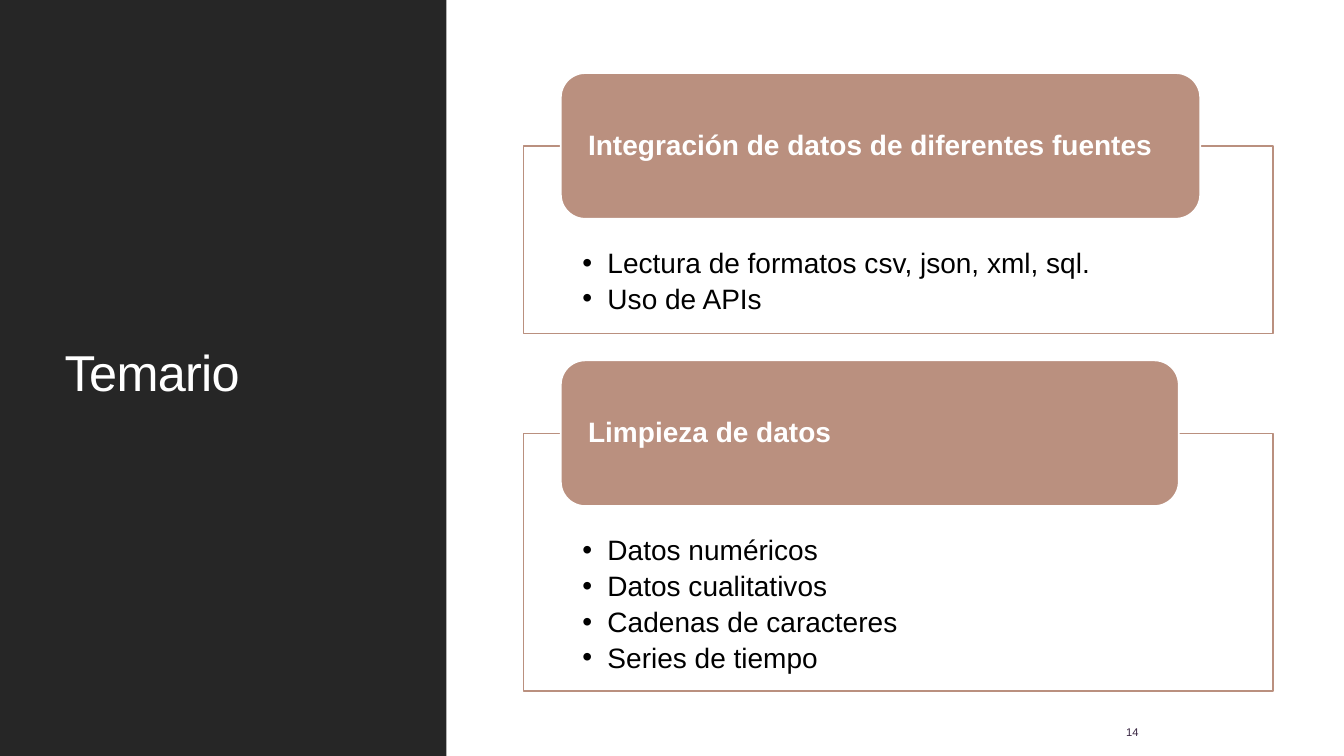
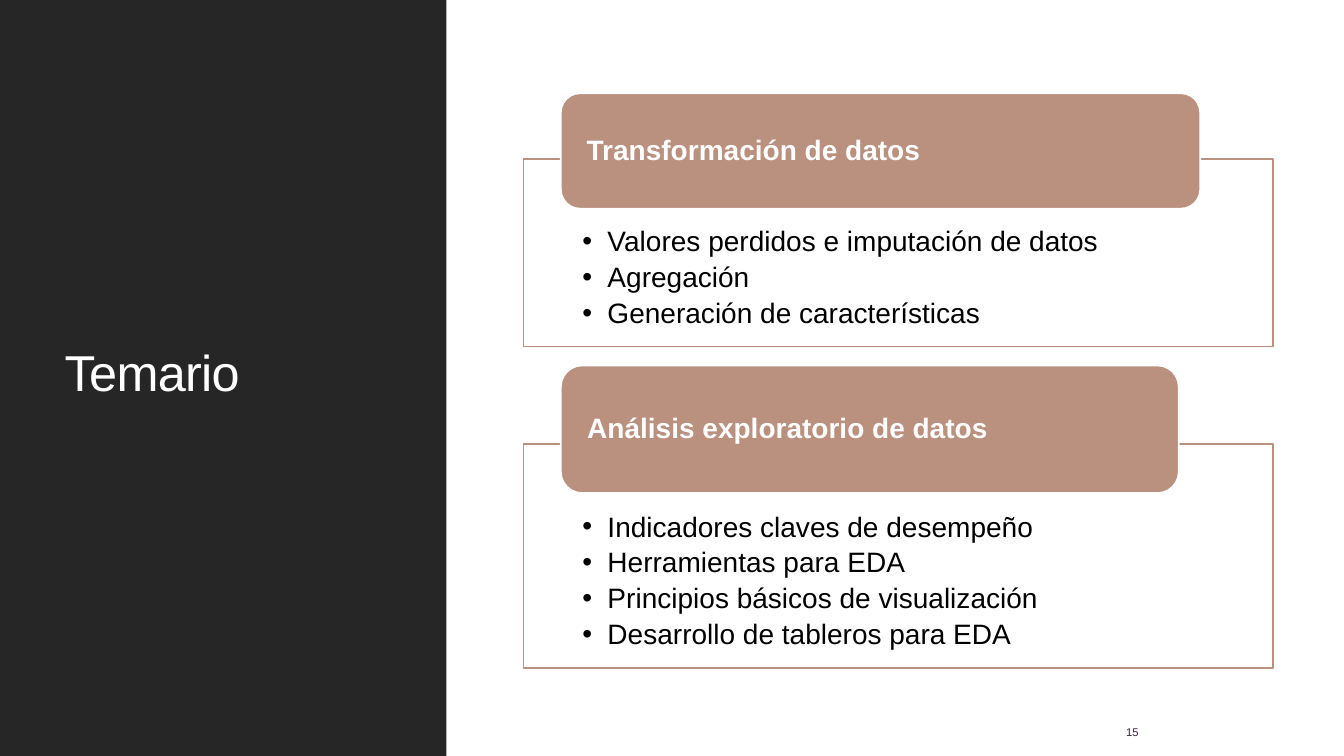
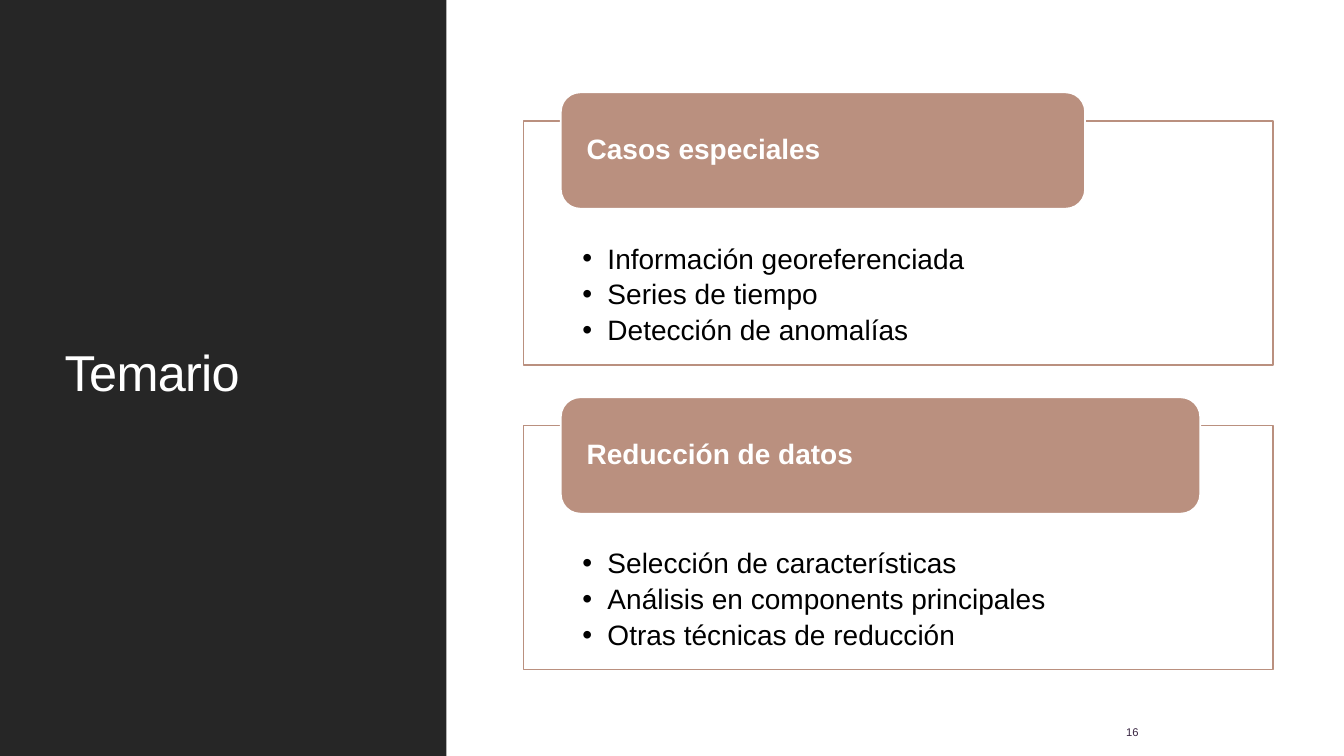
import dataclasses
import typing

import pptx
import pptx.dml.color
import pptx.enum.shapes
import pptx.enum.text
import pptx.oxml.ns
import pptx.util

ANCHOR = pptx.enum.text.MSO_ANCHOR
SHAPE = pptx.enum.shapes.MSO_SHAPE
TWO_CONTENT_LAYOUT = 3
FIRST_NUMBER = 14

# Square grid: 160 columns by 90 rows
COLUMNS, ROWS = 160, 90
SLIDE_WIDTH, SLIDE_HEIGHT = pptx.util.Inches(13.33), pptx.util.Inches(7.5)
CELL = SLIDE_HEIGHT / ROWS


@dataclasses.dataclass(frozen=True)
class Theme:
    font: str = "Arial"
    dark: str = "262626"
    accent: str = "BA907F"
    white: str = "FFFFFF"
    black: str = "000000"
    number: str = "382441"
    title_size: float = 36
    text_size: float = 20
    number_size: float = 8
    line_width: float = 1.25


@dataclasses.dataclass(frozen=True)
class Box:
    """A rectangle in grid cells."""
    left: float
    top: float
    width: float
    height: float


@dataclasses.dataclass(frozen=True)
class Section:
    heading: str
    topics: list[str]
    frame_top: float
    frame_height: float
    tab_top: float
    tab_height: float
    tab_width: float


@dataclasses.dataclass(frozen=True)
class Agenda:
    list_inset: float
    sections: list[Section]


THEME = Theme()
PANEL = Box(0, 0, 53.15, ROWS)
TITLE = Box(6.5, 6.85, 40.45, 75.7)
NUMBER = Box(132.85, 84.7, 14.3, 4.8)
FRAME_LEFT, FRAME_WIDTH = 62.3, 89.2
TAB_LEFT = 66.75
WIDE_TAB, MEDIUM_TAB, NARROW_TAB = 76.1, 73.55, 62.4
LIST_SIDE, LIST_BOTTOM, BULLET_INDENT, TAB_SIDE = 7, 1.9, 3, 2.4

AGENDAS = [
    Agenda(12.25, [
        Section("Integración de datos de diferentes fuentes",
                ["Lectura de formatos csv, json, xml, sql.", "Uso de APIs"],
                17.4, 22.3, 8.7, 17.35, WIDE_TAB),
        Section("Limpieza de datos",
                ["Datos numéricos", "Datos cualitativos",
                 "Cadenas de caracteres", "Series de tiempo"],
                51.6, 30.7, 42.9, 17.35, MEDIUM_TAB),
    ]),
    Agenda(8.15, [
        Section("Transformación de datos",
                ["Valores perdidos e imputación de datos", "Agregación",
                 "Generación de características"],
                18.95, 22.3, 11.1, 13.75, WIDE_TAB),
        Section("Análisis exploratorio de datos",
                ["Indicadores claves de desempeño", "Herramientas para EDA",
                 "Principios básicos de visualización",
                 "Desarrollo de tableros para EDA"],
                52.9, 26.65, 43.5, 15.2, MEDIUM_TAB),
    ]),
    Agenda(14.75, [
        Section("Casos especiales",
                ["Información georeferenciada", "Series de tiempo",
                 "Detección de anomalías"],
                14.4, 29.05, 11, 13.85, NARROW_TAB),
        Section("Reducción de datos",
                ["Selección de características",
                 "Análisis en components principales",
                 "Otras técnicas de reducción"],
                50.65, 29.05, 47.3, 13.85, WIDE_TAB),
    ]),
]


def cells(count: float) -> int:
    return round(count * CELL)


def colour(value: str) -> pptx.dml.color.RGBColor:
    return pptx.dml.color.RGBColor.from_string(value)


def apply_format(target: typing.Any, values: dict[str, typing.Any]) -> None:
    for name, value in values.items():
        setattr(target, name, value)


def place(shape: typing.Any, box: Box) -> None:
    apply_format(shape, {name: cells(value)
                         for name, value in dataclasses.asdict(box).items()})


def paint(shape: typing.Any, fill: str, line: str | None = None) -> None:
    shape.shadow.inherit = False
    shape.fill.solid()
    shape.fill.fore_color.rgb = colour(fill)
    if line is None:
        shape.line.fill.background()
    else:
        shape.line.color.rgb = colour(line)
        shape.line.width = pptx.util.Pt(THEME.line_width)


def write(shape: typing.Any, lines: list[str], size: float, text_colour: str,
          bold: bool = False, spacing: float = 0.9, after: float = 0,
          anchor: typing.Any = ANCHOR.MIDDLE,
          margins: dict[str, float] | None = None) -> None:
    """Fill a shape with left-aligned paragraphs; margins are in cells."""
    frame = shape.text_frame
    frame.text = "\n".join(lines)
    apply_format(frame, {"word_wrap": True, "vertical_anchor": anchor,
                         "auto_size": pptx.enum.text.MSO_AUTO_SIZE.NONE})
    apply_format(frame, {f"margin_{side}": cells(value)
                         for side, value in (margins or {}).items()})
    for paragraph in frame.paragraphs:
        apply_format(paragraph, {
            "alignment": pptx.enum.text.PP_ALIGN.LEFT, "line_spacing": spacing,
            "space_before": pptx.util.Pt(0), "space_after": pptx.util.Pt(after)})
        for run in paragraph.runs:
            apply_format(run.font, {"name": THEME.font, "bold": bold,
                                    "size": pptx.util.Pt(size)})
            run.font.color.rgb = colour(text_colour)


def add_box(slide: typing.Any, kind: typing.Any, box: Box) -> typing.Any:
    shape = slide.shapes.add_shape(kind, 0, 0, 0, 0)
    place(shape, box)
    return shape


def add_base(slide: typing.Any, number: int) -> None:
    """Side panel, title and slide number."""
    panel = add_box(slide, SHAPE.RECTANGLE, PANEL)
    paint(panel, THEME.dark)
    slide.shapes.element.insert(2, panel.element)  # behind the title

    title = slide.shapes.title
    place(title, TITLE)
    write(title, ["Temario"], THEME.title_size, THEME.white)
    for properties in title.element.iter(pptx.oxml.ns.qn("a:rPr")):
        properties.set("spc", "-50")

    number_box = slide.shapes.add_textbox(0, 0, 0, 0)
    place(number_box, NUMBER)
    write(number_box, [str(number)], THEME.number_size, THEME.number,
          spacing=1.0, after=6)


def add_section(slide: typing.Any, body: typing.Any, section: Section,
                list_inset: float) -> None:
    """Framed topic list with a heading tab over its top edge."""
    place(body, Box(FRAME_LEFT, section.frame_top, FRAME_WIDTH, section.frame_height))
    paint(body, THEME.white, THEME.accent)
    write(body, section.topics, THEME.text_size, THEME.black, after=4,
          anchor=ANCHOR.TOP,
          margins={"left": LIST_SIDE, "top": list_inset,
                   "right": LIST_SIDE, "bottom": LIST_BOTTOM})
    for properties in body.element.iter(pptx.oxml.ns.qn("a:pPr")):
        properties.set("marL", str(cells(BULLET_INDENT)))
        properties.set("indent", str(-cells(BULLET_INDENT)))

    tab = add_box(slide, SHAPE.ROUNDED_RECTANGLE,
                  Box(TAB_LEFT, section.tab_top, section.tab_width, section.tab_height))
    paint(tab, THEME.accent, THEME.white)
    write(tab, [section.heading], THEME.text_size, THEME.white, bold=True,
          margins={"left": TAB_SIDE, "top": 0, "right": TAB_SIDE, "bottom": 0})


def main() -> None:
    presentation = pptx.Presentation()
    apply_format(presentation, {"slide_width": SLIDE_WIDTH,
                                "slide_height": SLIDE_HEIGHT})
    layout = presentation.slide_layouts[TWO_CONTENT_LAYOUT]
    for number, agenda in enumerate(AGENDAS, start=FIRST_NUMBER):
        slide = presentation.slides.add_slide(layout)
        bodies = list(slide.placeholders)[1:]
        add_base(slide, number)
        for body, section in zip(bodies, agenda.sections):
            add_section(slide, body, section, agenda.list_inset)
    presentation.save("out.pptx")


if __name__ == "__main__":
    main()
